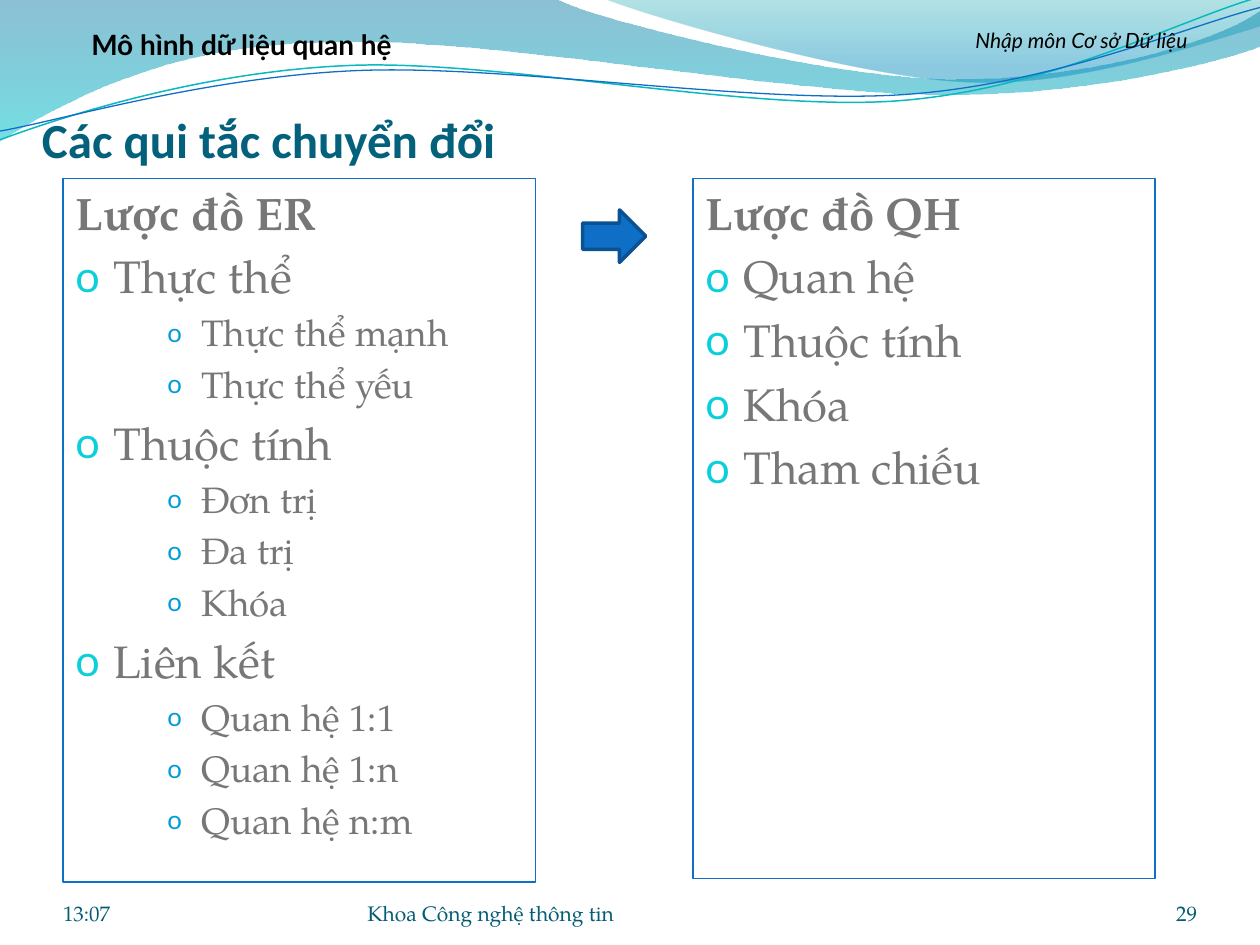
from lxml import etree
from pptx import Presentation
from pptx.dml.color import RGBColor
from pptx.enum import shapes, text
from pptx.oxml import ns
from pptx.util import Pt

COLORS = {
    "title": "04617B", "footer": "045D75", "body": "777777", "header": "000000",
    "blue": "0F6FC6", "arrow_edge": "0B5292", "teal": "0AB8BF",
    "bullet": "0BD0D9", "sub_bullet": "009DD9",
    "deep": "0074A1", "cyan": "00C6CF", "sea": "00A1A9", "sky": "008BBF",
}
SERIF, SANS, HEAD = "TeX Gyre Pagella", "Lato", "Calibri"
LEVELS = {1: (26, 21.6, -21.6, "bullet", 95), 2: (21, 72, -19.44, "sub_bullet", 70)}

BANDS = [
    ([[(0, -1)], [(317, -1)], [(343, 12), (478, 45), (546, 45)],
      [(614, 45), (690, 27), (720, 6)], [(721, 26)],
      [(708, 32), (626, 55), (537, 54)], [(447, 54), (275, 20), (185, 24)],
      [(93, 25), (33, 60), (-1, 81)]],
     [("deep", 0, 45), ("cyan", 1, 55)]),
    ([[(345, -1)], [(366, 8), (491, 45), (554, 47)],
      [(616, 50), (692, 23), (720, 15)], [(720, 0)]],
     [("sea", 0, 30), ("sky", 0.8, 45)]),
]
WAVES = [
    ([[(-1.4, 62.9)], [(33.8, 51.7), (114.1, 29.4), (199.8, 29.9)],
      [(284.8, 30.3), (425.9, 67.3), (512.5, 64.8)],
      [(599.1, 62.4), (676.5, 25.7), (720.2, 15.6)]],
     "teal", 0.85),
    ([[(-1.1, 57.9)], [(33.1, 53.6), (118.2, 32.6), (204.1, 33)],
      [(290.4, 33.4), (429.1, 63.1), (515.5, 61.4)],
      [(601.4, 59.6), (678.5, 30.1), (721.4, 21.3)]],
     "blue", 0.75),
]


def rgb(name):
    return RGBColor.from_string(COLORS[name])


def style_run(r, size, font, color, bold=False, italic=False):
    r.font.size, r.font.name = Pt(size), font
    r.font.bold, r.font.italic = bold, italic
    r.font.color.rgb = rgb(color)


def add_outline(s, x, y, outline, close):
    segments = [[(Pt(x + px), Pt(y + py)) for px, py in seg] for seg in outline]
    builder = s.shapes.build_freeform(*segments[0][0], scale=1.0)
    builder.add_line_segments([seg[-1] for seg in segments[1:]], close=close)
    sp = builder.convert_to_shape()
    sp.shadow.inherit = False
    lines = list(sp._element.iter(ns.qn("a:lnTo")))
    for line, seg in zip(lines, segments[1:]):
        if len(seg) == 3:
            curve = etree.Element(ns.qn("a:cubicBezTo"))
            for px, py in seg:
                etree.SubElement(curve, ns.qn("a:pt"),
                                 x=str(px - sp.left), y=str(py - sp.top))
            line.getparent().replace(line, curve)
    return sp


def add_banner(s, x, y):
    for outline, stops in BANDS:
        sp = add_outline(s, x, y, outline, True)
        sp.line.fill.background()
        sp.fill.gradient()
        sp.fill.gradient_angle = 270
        for stop, (color, position, opacity) in zip(sp.fill.gradient_stops, stops):
            stop.color.rgb = rgb(color)
            stop.position = position
        clrs = sp._element.spPr.iter(ns.qn("a:srgbClr"))
        for clr, (color, position, opacity) in zip(clrs, stops):
            etree.SubElement(clr, ns.qn("a:alpha"), val=str(opacity * 1000))
    for outline, color, width in WAVES:
        sp = add_outline(s, x, y, outline, False)
        sp.rotation = 357.3
        sp.fill.background()
        sp.line.color.rgb = rgb(color)
        sp.line.width = Pt(width)


def add_label(s, x, y, w, h, words, size, font, color, align="LEFT",
              anchor="TOP", insets=(7.2, 3.6, 7.2, 3.6), **style):
    tf = s.shapes.add_textbox(Pt(x), Pt(y), Pt(w), Pt(h)).text_frame
    tf.word_wrap = True
    tf.vertical_anchor = text.MSO_ANCHOR[anchor]
    tf.margin_left, tf.margin_top, tf.margin_right, tf.margin_bottom = map(Pt, insets)
    tf.text = words
    p = tf.paragraphs[0]
    p.alignment = text.PP_ALIGN[align]
    style_run(p.runs[0], size, font, color, **style)


def add_headers(s, x, y, w):
    add_label(s, x + w - 204, y, 204, 27, "Nhập môn Cơ sở Dữ liệu",
              12, SANS, "header", "CENTER", italic=True)
    add_label(s, x + 18, y, 240, 27, "Mô hình dữ liệu quan hệ",
              16, SANS, "header", "CENTER", bold=True)


def add_footer(s, x, y, w, h):
    for dx, width, words, align in [(0, 168, "13:07", "LEFT"),
                                    (w - 60, 60, "29", "RIGHT"),
                                    (174, 264, "Khoa Công nghệ thông tin", "LEFT")]:
        add_label(s, x + dx, y, width, h, words, 12, SERIF, "footer",
                  align, "BOTTOM", (0, 0, 0, 0))


def add_bullet(p, color, percent):
    pPr = p._p.get_or_add_pPr()
    clr = etree.SubElement(pPr, ns.qn("a:buClr"))
    etree.SubElement(clr, ns.qn("a:srgbClr"), val=COLORS[color])
    etree.SubElement(pPr, ns.qn("a:buSzPct"), val=str(percent * 1000))
    etree.SubElement(pPr, ns.qn("a:buFont"), typeface=SANS)
    etree.SubElement(pPr, ns.qn("a:buChar"), char="o")


def add_panel(s, x, y, w, h, heading, items):
    sp = s.shapes.add_shape(shapes.MSO_SHAPE.RECTANGLE, Pt(x), Pt(y), Pt(w), Pt(h))
    sp.shadow.inherit = False
    sp.fill.background()
    sp.line.color.rgb = rgb("blue")
    sp.line.width = Pt(0.75)
    tf = sp.text_frame
    tf.word_wrap = True
    tf.vertical_anchor = text.MSO_ANCHOR.TOP
    tf.text = "\n".join([heading] + [words for level, words in items])
    levels = [1] + [level for level, words in items]
    for i, (p, level) in enumerate(zip(tf.paragraphs, levels)):
        size, left, indent, color, percent = LEVELS[level]
        pPr = p._p.get_or_add_pPr()
        pPr.set("marL", str(Pt(left)))
        pPr.set("indent", str(Pt(indent)))
        if i:
            add_bullet(p, color, percent)
            p.space_before = Pt(size * 0.2)
        p.level = level - 1
        p.alignment = text.PP_ALIGN.LEFT
        style_run(p.runs[0], size, SERIF, "body", bold=i == 0)


def add_arrow(s, x, y, w, h):
    sp = s.shapes.add_shape(shapes.MSO_SHAPE.RIGHT_ARROW, Pt(x), Pt(y), Pt(w), Pt(h))
    sp.shadow.inherit = False
    sp.fill.solid()
    sp.fill.fore_color.rgb = rgb("blue")
    sp.line.color.rgb = rgb("arrow_edge")
    sp.line.width = Pt(2)


def main():
    prs = Presentation()
    prs.slide_width, prs.slide_height = Pt(720), Pt(540)
    s = prs.slides.add_slide(prs.slide_layouts[6])
    add_banner(s, 0, 0)
    add_label(s, 24, 60, 648, 36, "Các qui tắc chuyển đổi", 28, HEAD, "title",
              anchor="BOTTOM", insets=(0, 3.6, 0, 0), bold=True)
    add_panel(s, 36, 102, 270, 402, "Lược đồ ER", [
        (1, "Thực thể"), (2, "Thực thể mạnh"), (2, "Thực thể yếu"),
        (1, "Thuộc tính"), (2, "Đơn trị"), (2, "Đa trị"), (2, "Khóa"),
        (1, "Liên kết"), (2, "Quan hệ 1:1"), (2, "Quan hệ 1:n"), (2, "Quan hệ n:m")])
    add_footer(s, 36, 500.4, 648, 28.8)
    add_headers(s, 0, 12, 720)
    add_panel(s, 396, 102, 264, 400, "Lược đồ QH", [
        (1, "Quan hệ"), (1, "Thuộc tính"), (1, "Khóa"), (1, "Tham chiếu")])
    add_arrow(s, 333, 120, 36, 30)
    prs.save("out.pptx")


if __name__ == "__main__":
    main()
